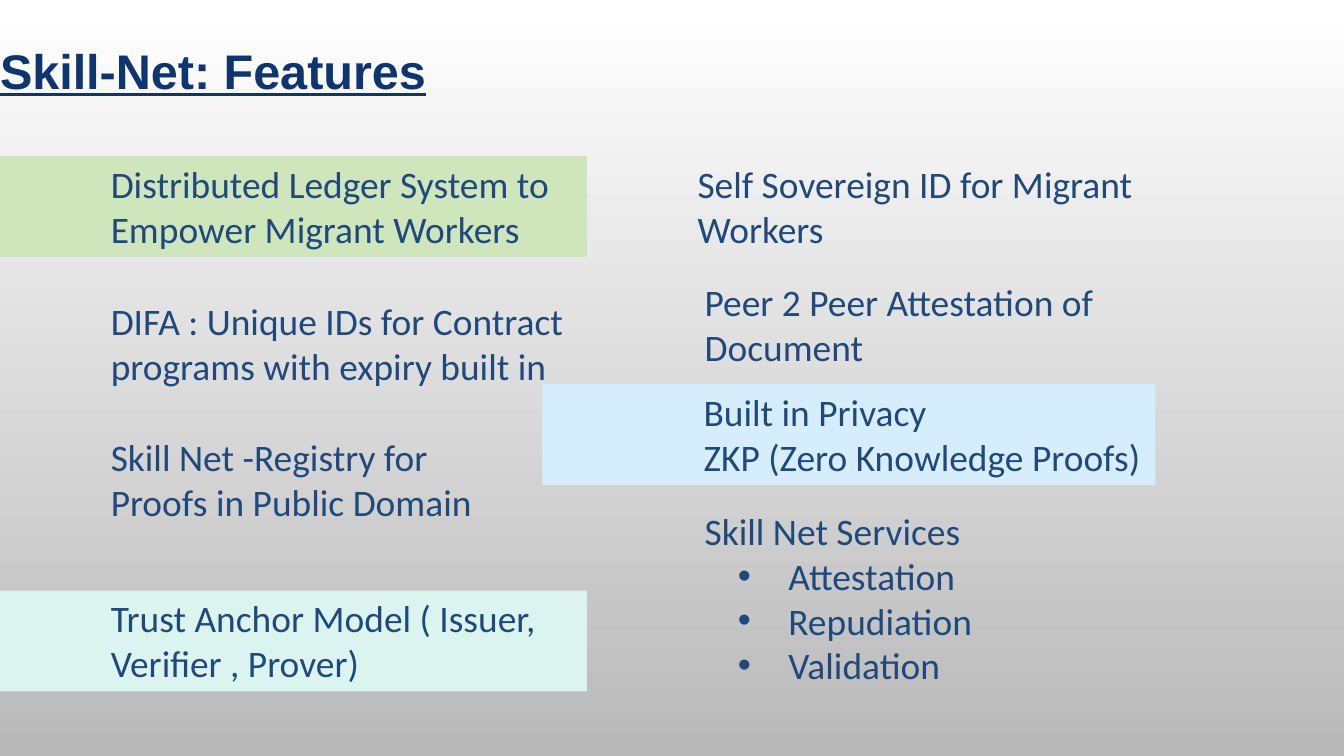
from pptx import Presentation
from pptx import util as u
from pptx.dml.color import RGBColor
from pptx.enum import shapes, text
from pptx.oxml.ns import qn
from lxml import etree

HEX = {
    "title": "0E3570", "body": "1F497D", "top": "FFFFFF", "base": "B9B9B9",
    "mint": "DBF4EF", "green": "CFE6BC", "blue": "D5EDFC",
}
BODY = {"size": u.Pt(26.7), "name": "Calibri"}
HEAD = {"size": u.Pt(34.7), "name": "Arial", "bold": True, "underline": True}

FEATURES = [
    (0, 1.55, 5.82, 1, "green", 1,
     ["Distributed Ledger System to Empower Migrant Workers"]),
    (0, 2.91, 5.89, 1.45, None, 1,
     ["DIFA : Unique IDs for Contract programs with expiry built in"]),
    (0, 4.26, 5.82, 1, None, 1,
     ["Skill Net -Registry for", "Proofs in Public Domain"]),
    (0, 5.86, 5.82, 1, "mint", 1,
     ["Trust Anchor Model ( Issuer, Verifier , Prover)"]),
    (5.82, 1.55, 6.16, 1, None, 1,
     ["Self Sovereign ID for Migrant Workers"]),
    (5.89, 2.72, 5.46, 1, None, 1,
     ["Peer 2 Peer Attestation of Document"]),
    (5.38, 3.81, 6.08, 1, "blue", 1.5,
     ["Built in Privacy", "ZKP (Zero Knowledge Proofs)"]),
]
SERVICES = ["Attestation", "Repudiation", "Validation"]


def style(item, values):
    for key, value in values.items():
        setattr(item, key, value)


def color(name):
    return RGBColor.from_string(HEX[name])


def shade(slide):
    fill = slide.background.fill
    fill.gradient()
    fill.gradient_angle = 270
    for stop, name in zip(fill.gradient_stops, ("top", "base")):
        stop.color.rgb = color(name)


def write(para, words, font, tint):
    run = para.add_run()
    run.text = words
    style(run.font, font)
    run.font.color.rgb = color(tint)


def indent(para, left, hang=0, mark=None):
    props = para._p.get_or_add_pPr()
    props.set("marL", str(u.Inches(left)))
    props.set("indent", str(u.Inches(hang)))
    if mark:
        face = etree.SubElement(props, qn("a:buFont"))
        face.set("typeface", "Arial")
        etree.SubElement(props, qn("a:buChar")).set("char", mark)


def add_title(slide, words):
    title = slide.shapes.title
    style(title, {"left": u.Inches(0), "top": u.Inches(0.38),
                  "width": u.Inches(4.67), "height": u.Inches(1.33)})
    frame = title.text_frame
    style(frame, {"margin_left": 0, "word_wrap": True,
                  "vertical_anchor": text.MSO_ANCHOR.TOP,
                  "auto_size": text.MSO_AUTO_SIZE.NONE})
    para = frame.paragraphs[0]
    style(para, {"alignment": text.PP_ALIGN.LEFT, "line_spacing": 0.98})
    write(para, words, HEAD, "title")


def add_block(slide, left, top, width, height, fill, inset, lines):
    area = [u.Inches(n) for n in (left, top, width, height)]
    if fill:
        box = slide.shapes.add_shape(shapes.MSO_SHAPE.RECTANGLE, *area)
        box.shadow.inherit = False
        box.fill.solid()
        box.fill.fore_color.rgb = color(fill)
        box.line.fill.background()
    else:
        box = slide.shapes.add_textbox(*area)
    frame = box.text_frame
    style(frame, {"word_wrap": True, "vertical_anchor": text.MSO_ANCHOR.TOP,
                  "auto_size": text.MSO_AUTO_SIZE.SHAPE_TO_FIT_TEXT})
    for row, words in enumerate(lines):
        para = frame.add_paragraph() if row else frame.paragraphs[0]
        style(para, {"alignment": text.PP_ALIGN.LEFT, "level": 1})
        indent(para, inset)
        write(para, words, BODY, "body")
    return frame


def add_list(frame, items):
    for words in items:
        para = frame.add_paragraph()
        para.level = 1
        indent(para, 1.83, -0.5, "•")
        write(para, words, BODY, "body")


def main():
    deck = Presentation()
    style(deck, {"slide_width": u.Inches(13.33),
                 "slide_height": u.Inches(7.5)})
    slide = deck.slides.add_slide(deck.slide_layouts[5])
    shade(slide)
    add_title(slide, "Skill-Net: Features")
    for feature in FEATURES:
        add_block(slide, *feature)
    frame = add_block(slide, 5.89, 4.99, 6.18, 1.9, None, 1,
                      ["Skill Net Services"])
    add_list(frame, SERVICES)
    deck.save("out.pptx")


if __name__ == "__main__":
    main()
